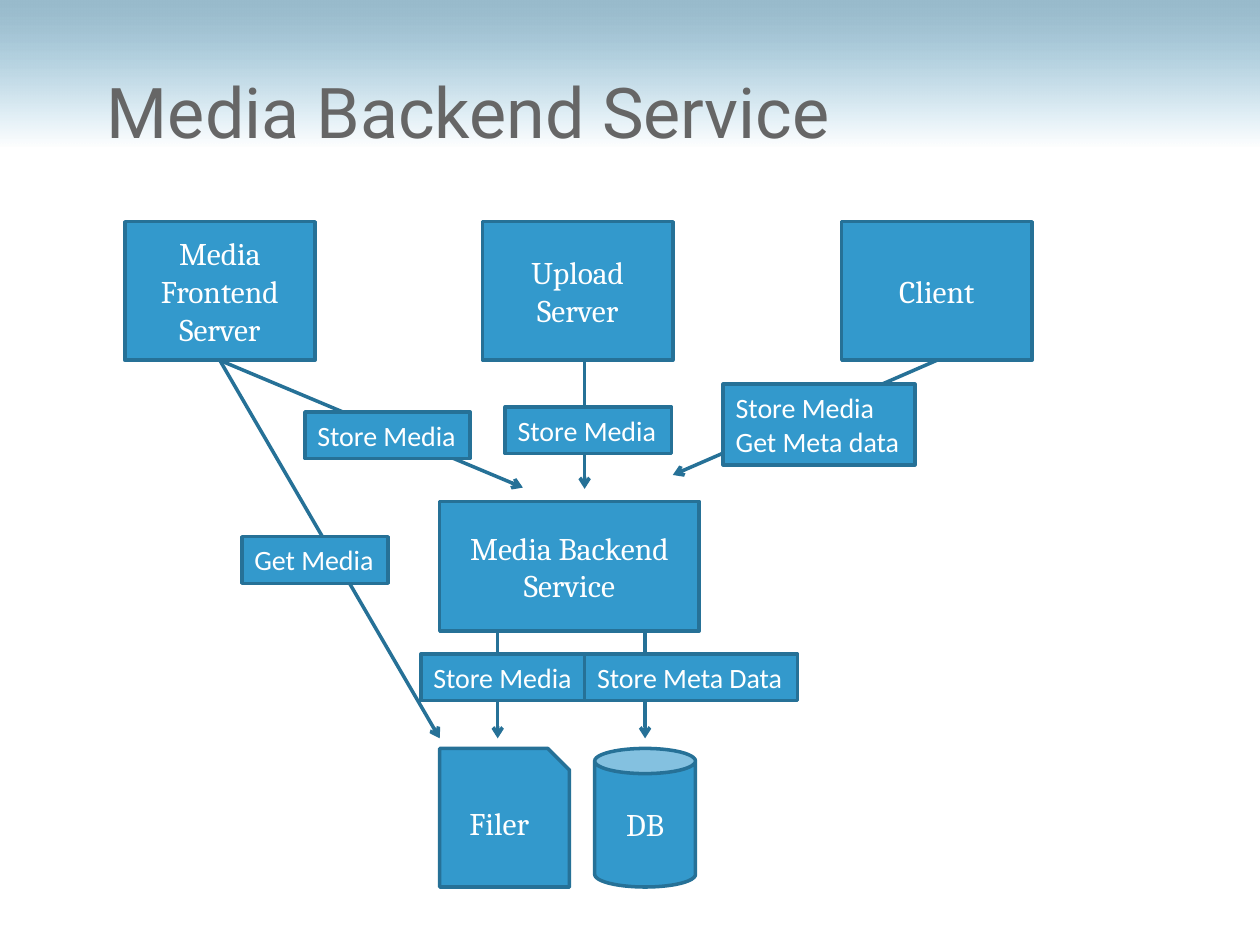
import pptx
import pptx.util
import pptx.dml.color
import pptx.enum.shapes
import pptx.enum.text
import pptx.oxml
import pptx.oxml.ns

Inches = pptx.util.Inches
Shape = pptx.enum.shapes.MSO_SHAPE
Align = pptx.enum.text.PP_ALIGN
Anchor = pptx.enum.text.MSO_ANCHOR

BLUE, EDGE, WHITE, GREY = "3399CC", "267197", "FFFFFF", "666666"
SKY_TOP, SKY_BOTTOM = "99BBCC", "BADDEE"

TITLE = "Media Backend Service"
SERVER_TOP, STORE_TOP, NODE_HEIGHT = 1.76, 5.94, 1.1
NODES = {
    "frontend": ("Media Frontend Server", Shape.RECTANGLE, 0.99, SERVER_TOP, 1.51, NODE_HEIGHT),
    "upload": ("Upload Server", Shape.RECTANGLE, 3.83, SERVER_TOP, 1.51, NODE_HEIGHT),
    "client": ("Client", Shape.RECTANGLE, 6.68, SERVER_TOP, 1.51, NODE_HEIGHT),
    "backend": ("Media Backend Service", Shape.RECTANGLE, 3.49, 3.98, 2.06, 1.03),
    "filer": ("Filer", Shape.SNIP_1_RECTANGLE, 3.49, STORE_TOP, 1.03, NODE_HEIGHT),
    "db": ("DB", Shape.CAN, 4.72, STORE_TOP, 0.8, NODE_HEIGHT),
}
ARROWS = [
    ("frontend", 1.74, 2.86, 4.15, 3.87),
    (None, 4.64, 2.86, 4.64, 3.88),
    ("client", 7.44, 2.86, 5.34, 3.77),
    (None, 3.95, 5.01, 3.95, 5.86),
    (None, 5.12, 5.01, 5.12, 5.86),
    ("frontend", 1.74, 2.86, 3.49, 5.86),
]
LABELS = [
    (["Get Media"], 1.92, 4.26, 1.16),
    (["Store Media"], 2.42, 3.27, 1.31),
    (["Store Media"], 4.01, 3.23, 1.32),
    (["Store Media", "Get Meta data"], 5.74, 3.05, 1.52),
    (["Store Media"], 3.34, 5.19, 1.31),
    (["Store Meta Data"], 4.64, 5.19, 1.69),
]
LABEL_HEIGHT, LABEL_LINE = 0.37, 0.27

NODE_TEXT = {"size": pptx.util.Pt(18), "name": "Cambria"}
LABEL_TEXT = {"size": pptx.util.Pt(16), "name": "Calibri"}
TITLE_TEXT = {"size": pptx.util.Pt(40), "name": "Roboto"}


def color(value):
    return pptx.dml.color.RGBColor.from_string(value)


def write(box, lines, font, ink, align, anchor, wrap):
    frame = box.text_frame
    for name, value in {"word_wrap": wrap, "vertical_anchor": anchor}.items():
        setattr(frame, name, value)
    for index, line in enumerate(lines):
        para = frame.add_paragraph() if index else frame.paragraphs[0]
        para.alignment = align
        span = para.add_run()
        span.text = line
        for name, value in font.items():
            setattr(span.font, name, value)
        span.font.color.rgb = color(ink)


def outline(item):
    item.line.color.rgb = color(EDGE)
    item.line.width = pptx.util.Pt(2)


def add_block(page, kind, place):
    box = page.shapes.add_shape(kind, *map(Inches, place))
    box.shadow.inherit = False
    box.fill.solid()
    box.fill.fore_color.rgb = color(BLUE)
    outline(box)
    return box


def add_sky(page):
    box = page.shapes.add_shape(Shape.RECTANGLE, 0, 0, Inches(10), Inches(1.16))
    box.shadow.inherit = False
    box.line.fill.background()
    box.fill.gradient()
    box.fill.gradient_angle = 270
    for stop, position, value in zip(box.fill.gradient_stops, (0, 1), (SKY_TOP, SKY_BOTTOM)):
        stop.position = position
        stop.color.rgb = color(value)
    tint = box.fill._fill._gradFill.findall(".//" + pptx.oxml.ns.qn("a:srgbClr"))[-1]
    tint.append(pptx.oxml.parse_xml(f'<a:alpha {pptx.oxml.ns.nsdecls("a")} val="0"/>'))


def add_arrow(page, source, points):
    arrow = page.shapes.add_connector(
        pptx.enum.shapes.MSO_CONNECTOR.STRAIGHT, *map(Inches, points))
    if source is not None:
        arrow.begin_connect(source, 2)
    outline(arrow)
    namespace = pptx.oxml.ns.nsdecls("a")
    arrow.line._get_or_add_ln().append(
        pptx.oxml.parse_xml(f'<a:tailEnd {namespace} type="arrow"/>'))
    arrow._element.spPr.append(pptx.oxml.parse_xml(f"<a:effectLst {namespace}/>"))


def main():
    deck = pptx.Presentation()
    deck.slide_width, deck.slide_height = Inches(10), Inches(7.5)
    page = deck.slides.add_slide(deck.slide_layouts[6])

    for layer in range(2):
        add_sky(page)

    nodes = {}
    for name, (text, kind, *place) in NODES.items():
        nodes[name] = add_block(page, kind, place)
        write(nodes[name], [text], NODE_TEXT, WHITE, Align.CENTER, Anchor.MIDDLE, True)

    for source, *points in ARROWS:
        add_arrow(page, nodes.get(source), points)

    for lines, left, top, width in LABELS:
        height = LABEL_HEIGHT + LABEL_LINE * (len(lines) - 1)
        box = add_block(page, Shape.RECTANGLE, (left, top, width, height))
        write(box, lines, LABEL_TEXT, WHITE, Align.LEFT, Anchor.TOP, False)

    title = page.shapes.add_textbox(*map(Inches, (0.75, 0.28, 7.08, 1.19)))
    write(title, [TITLE], TITLE_TEXT, GREY, Align.LEFT, Anchor.MIDDLE, True)

    deck.save("out.pptx")


if __name__ == "__main__":
    main()
